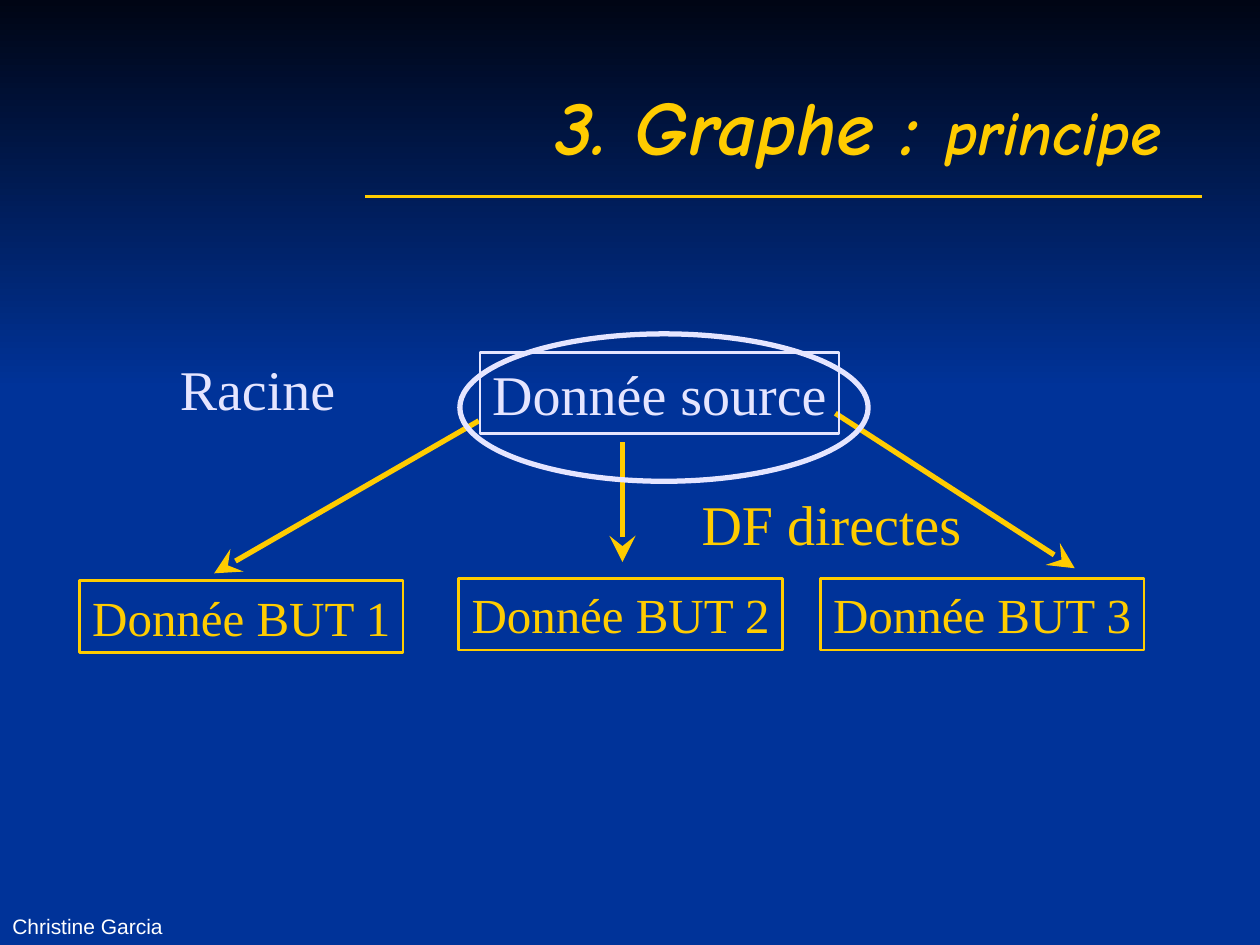
from lxml import etree
from pptx import Presentation
from pptx.dml.color import RGBColor
from pptx.enum.shapes import MSO_CONNECTOR, MSO_SHAPE
from pptx.enum.text import MSO_ANCHOR, PP_ALIGN
from pptx.oxml.ns import qn
from pptx.util import Inches, Pt

RECT, OVAL = MSO_SHAPE.RECTANGLE, MSO_SHAPE.OVAL
LEFT, CENTER, RIGHT = PP_ALIGN.LEFT, PP_ALIGN.CENTER, PP_ALIGN.RIGHT
MIDDLE, BOTTOM = MSO_ANCHOR.MIDDLE, MSO_ANCHOR.BOTTOM
STRAIGHT = MSO_CONNECTOR.STRAIGHT

NIGHT = RGBColor(0x00, 0x05, 0x14)
BLUE = RGBColor(0x00, 0x33, 0x99)
GOLD = RGBColor(0xFF, 0xCC, 0x00)
PALE = RGBColor(0xE5, 0xE5, 0xFF)
WHITE = RGBColor(0xFF, 0xFF, 0xFF)
SERIF, SANS, COMIC = "Times New Roman", "Arial", "Comic Neue"


def write(shape, text, size=32, face=SERIF, color=GOLD, align=CENTER,
          anchor=MIDDLE, wrap=False, slant=False):
    frame = shape.text_frame
    frame.word_wrap = wrap
    frame.vertical_anchor = anchor
    if not wrap:
        frame.margin_left = frame.margin_right = 0
    para = frame.paragraphs[0]
    para.alignment = align
    run = para.add_run()
    run.text = text
    font = run.font
    font.size, font.name = Pt(size), face
    font.bold = font.italic = slant
    font.color.rgb = color


def link(start, end, width, arrow=True):
    line = shapes.add_connector(STRAIGHT, *map(Inches, start + end))
    line.line.color.rgb = GOLD
    line.line.width = Pt(width)
    if arrow:
        tail = etree.SubElement(line.line._get_or_add_ln(), qn("a:tailEnd"))
        for key, value in (("type", "stealth"), ("w", "lg"), ("len", "lg")):
            tail.set(key, value)
    etree.SubElement(line._element.spPr, qn("a:effectLst"))


deck = Presentation()
deck.slide_width, deck.slide_height = Inches(10), Inches(7.5)
slide = deck.slides.add_slide(deck.slide_layouts[5])
shapes = slide.shapes
fill = slide.background.fill
fill.solid()
fill.fore_color.rgb = BLUE

band = shapes.add_shape(RECT, 0, 0, Inches(10), Inches(3.09))
band.shadow.inherit = False
band.line.fill.background()
band.fill.gradient()
band.fill.gradient_angle = 270
for stop, color in zip(band.fill.gradient_stops, (NIGHT, BLUE)):
    stop.color.rgb = color
shapes._spTree.insert(2, band._element)

link((2.9, 1.56), (9.54, 1.56), 2, arrow=False)

title = shapes.title
title.left, title.top = Inches(0.5), Inches(0.3)
title.width, title.height = Inches(9), Inches(1.25)
title.text_frame.margin_top = Inches(0.18)
title.text_frame.margin_right = Inches(0.28)
for text, size in (("3. Graphe : ", 44), ("principe", 36)):
    write(title, text, size=size, face=COMIC, align=RIGHT, wrap=True, slant=True)

boxes = (
    ("Donnée source", 3.81, 2.8, 2.85, 0.64, 32, PALE),
    ("Donnée BUT 1", 0.63, 4.61, 2.57, 0.57, 28, GOLD),
    ("Donnée BUT 2", 3.64, 4.59, 2.57, 0.57, 28, GOLD),
    ("Donnée BUT 3", 6.51, 4.59, 2.57, 0.57, 28, GOLD),
    ("", 3.65, 2.65, 3.24, 1.17, 0, PALE),
)
arrows = (
    ((3.8, 3.34), (1.7, 4.55)),
    ((4.94, 3.51), (4.94, 4.46)),
    ((6.63, 3.28), (8.53, 4.51)),
)
for start, end in arrows:
    link(start, end, 3)
for text, x, y, w, h, size, color in boxes:
    box = shapes.add_shape(RECT if text else OVAL, *map(Inches, (x, y, w, h)))
    box.shadow.inherit = False
    box.fill.background()
    box.line.color.rgb = color
    box.line.width = Pt(1.5 if text else 3)
    if text:
        write(box, text, size=size, color=color)

notes = (
    ("Racine", 1.33, 2.76, 1.43, 0.64, {"color": PALE}),
    ("DF directes", 5.47, 3.83, 2.26, 0.64, {}),
    ("Christine Garcia", 0, 6.98, 3.17, 0.52,
     {"size": 12, "face": SANS, "color": WHITE, "align": LEFT,
      "anchor": BOTTOM, "wrap": True}),
)
for text, x, y, w, h, style in notes:
    write(shapes.add_textbox(*map(Inches, (x, y, w, h))), text, **style)

deck.save("out.pptx")
